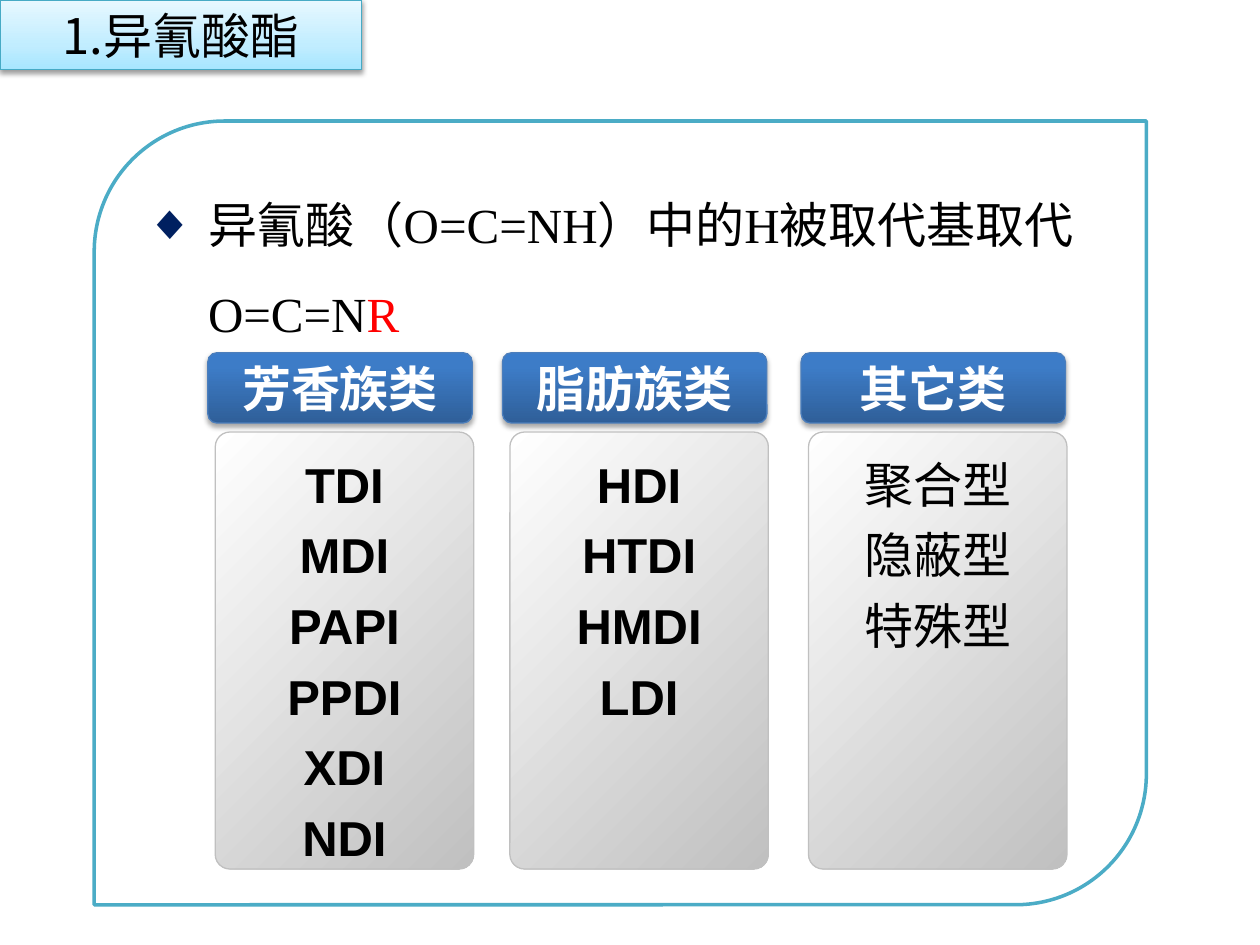
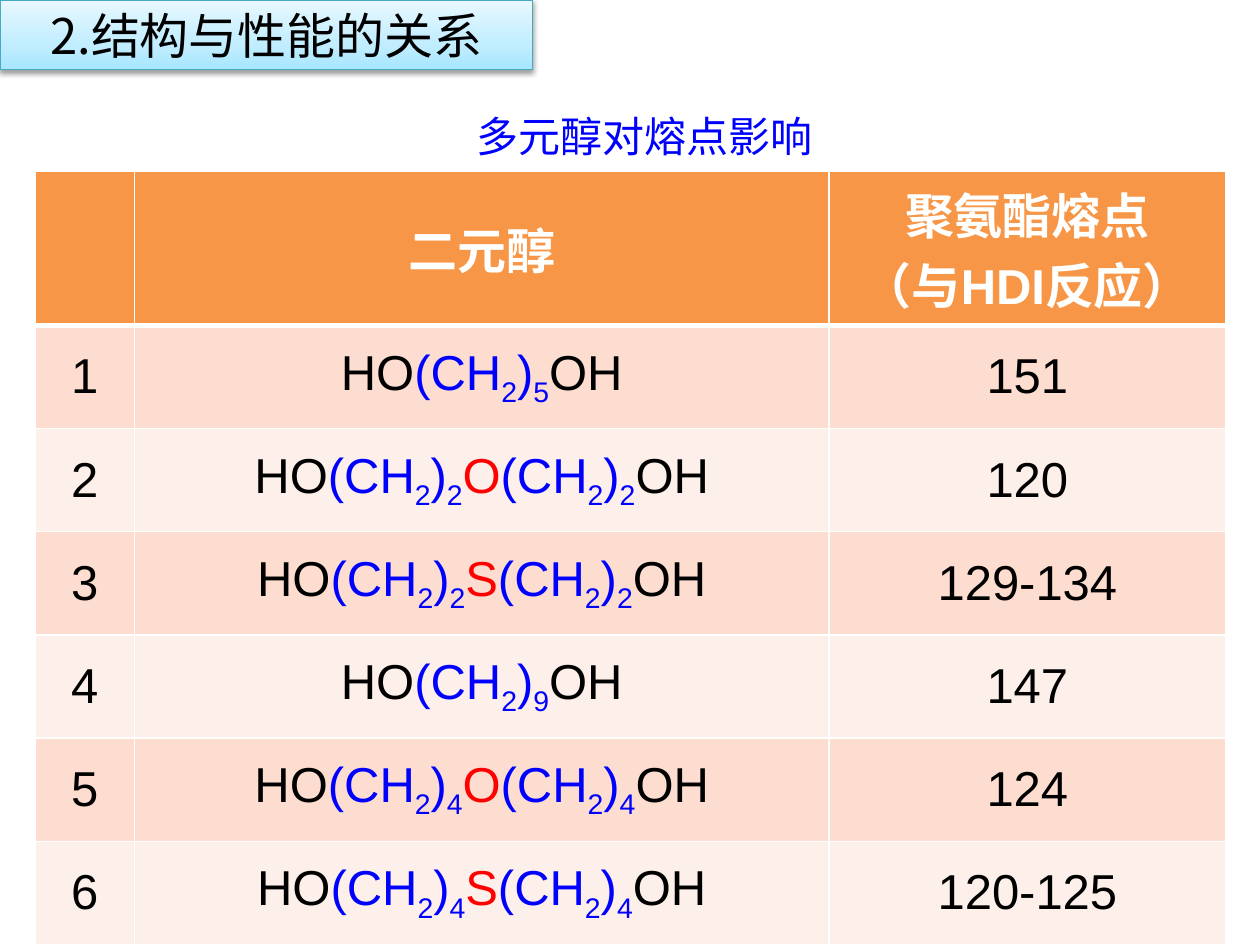
from dataclasses import dataclass

from lxml import etree
from pptx import Presentation
from pptx.dml.color import RGBColor
from pptx.enum.shapes import MSO_SHAPE
from pptx.enum.text import MSO_ANCHOR, MSO_AUTO_SIZE, PP_ALIGN
from pptx.oxml.ns import qn
from pptx.util import Cm, Pt

ROUND_RECT = MSO_SHAPE.ROUNDED_RECTANGLE
CENTER, LEFT = PP_ALIGN.CENTER, PP_ALIGN.LEFT
TOP, MIDDLE = MSO_ANCHOR.TOP, MSO_ANCHOR.MIDDLE
NO_FIT, GROW = MSO_AUTO_SIZE.NONE, MSO_AUTO_SIZE.SHAPE_TO_FIT_TEXT
TITLE_AND_BODY, TITLE_ONLY = 1, 5

CJK, SANS, SERIF = "Noto Sans CJK SC", "Arial", "Times New Roman"
BLACK, WHITE, RED, BLUE = "000000", "FFFFFF", "FF0000", "0000FF"
NAVY, TEAL, GRAY, ORANGE = "002060", "4BACC6", "C0C0C0", "F79646"
ROW_FILLS = ("FCDDCF", "FDEFE9")


@dataclass(frozen=True)
class Run:
    text: str
    color: str = BLACK
    font: str = SANS
    bold: bool = False
    sub: bool = False
    size: int = 28


@dataclass(frozen=True)
class Box:
    left: float
    top: float
    width: float
    height: float

    def lengths(self) -> tuple:
        return Cm(self.left), Cm(self.top), Cm(self.width), Cm(self.height)


@dataclass(frozen=True)
class Finish:
    stops: tuple
    angle: int
    line: str
    shadow: tuple = ()


@dataclass(frozen=True)
class Family:
    name: str
    left: float
    members: tuple
    bold: bool = True


@dataclass(frozen=True)
class Diol:
    carbons: int
    melting: str
    bridge: str = ""


TAB = Finish(((0, "A7E6FF"), (35, "C1EDFF"), (100, "E7F8FF")), 270, "46AAC5", (38, 1.6))
HEADER = Finish(((0, "2F5F99"), (80, "3D7CC7"), (100, "3A7CCB")), 270, "4B7EBC", (35, 1.8))
CARD = Finish(((0, WHITE), (100, GRAY)), 45, GRAY)

FAMILIES = (
    Family("芳香族类", 4.19, ("TDI", "MDI", "PAPI", "PPDI", "XDI", "NDI")),
    Family("脂肪族类", 10.13, ("HDI", "HTDI", "HMDI", "LDI")),
    Family("其它类", 16.15, ("聚合型", "隐蔽型", "特殊型"), bold=False),
)

DIOLS = (
    Diol(5, "151"),
    Diol(2, "120", "O"),
    Diol(2, "129-134", "S"),
    Diol(9, "147"),
    Diol(4, "124", "O"),
    Diol(4, "120-125", "S"),
)


def rgb(color: str) -> RGBColor:
    return RGBColor.from_string(color)


def add(parent, tag: str, **attrs):
    return etree.SubElement(parent, qn(tag), {k: str(v) for k, v in attrs.items()})


def write(tf, lines, align=CENTER, anchor=MIDDLE, spacing=1.0) -> None:
    tf.vertical_anchor = anchor
    for i, runs in enumerate(lines):
        p = tf.paragraphs[0] if i == 0 else tf.add_paragraph()
        p.alignment, p.line_spacing, p.space_before = align, spacing, Pt(0)
        for run in runs:
            r = p.add_run()
            r.text = run.text
            r.font.size, r.font.bold, r.font.name = Pt(run.size), run.bold, run.font
            r.font.color.rgb = rgb(run.color)
            props = r.font._element
            add(props, "a:ea", typeface=CJK)
            if run.sub:
                props.set("baseline", "-25000")


def finish(sp, look: Finish) -> None:
    grad = add(sp._element.spPr, "a:gradFill", rotWithShape=1)
    stops = add(grad, "a:gsLst")
    for pos, color in look.stops:
        add(add(stops, "a:gs", pos=pos * 1000), "a:srgbClr", val=color)
    add(grad, "a:lin", ang=look.angle * 60000, scaled=0)
    sp.line.color.rgb, sp.line.width = rgb(look.line), Pt(0.75)
    sp.shadow.inherit = False
    if look.shadow:
        alpha, dist = look.shadow
        effects = sp._element.spPr.find(qn("a:effectLst"))
        outer = add(effects, "a:outerShdw", blurRad=Pt(3.1), dist=Pt(dist),
                    dir=90 * 60000, rotWithShape=0)
        add(add(outer, "a:srgbClr", val=BLACK), "a:alpha", val=alpha * 1000)


def place_diagonal(sp, box: Box) -> None:
    sp.left, sp.top, sp.width, sp.height = box.lengths()
    geom = add(sp._element.spPr, "a:prstGeom", prst="round2DiagRect")
    add(geom, "a:avLst")
    sp.text_frame.auto_size = NO_FIT


def add_titled_slide(prs, layout: int, title: str, width: float):
    s = prs.slides.add_slide(prs.slide_layouts[layout])
    sp = s.shapes.title
    place_diagonal(sp, Box(0, 0, width, 1.4))
    finish(sp, TAB)
    write(sp.text_frame, [[Run(title, font=CJK)]])
    return s


def add_panel(s, box: Box, radius: float, look: Finish):
    sp = s.shapes.add_shape(ROUND_RECT, *box.lengths())
    sp.adjustments[0] = radius
    finish(sp, look)
    return sp.text_frame


def add_definition(sp) -> None:
    place_diagonal(sp, Box(1.9, 2.44, 21.21, 15.8))
    sp.fill.background()
    sp.line.color.rgb, sp.line.width = rgb(TEAL), Pt(2)
    tf = sp.text_frame
    pPr = tf.paragraphs[0]._p.get_or_add_pPr()
    pPr.set("marL", str(Cm(1.27)))
    pPr.set("indent", str(-Cm(1.27)))
    add(add(pPr, "a:buClr"), "a:srgbClr", val=NAVY)
    add(pPr, "a:buFont", typeface=SANS)
    add(pPr, "a:buChar", char="◆")
    write(tf, [[Run("异氰酸（O=C=NH）中的H被取代基取代O=C=N", font=SERIF),
                Run("R", RED, SERIF)]], LEFT, TOP, 1.5)


def add_family(s, family: Family) -> None:
    tf = add_panel(s, Box(family.left, 7.11, 5.33, 1.42), 0.131, HEADER)
    write(tf, [[Run(family.name, WHITE, CJK, True)]])
    tf = add_panel(s, Box(family.left + 0.15, 8.71, 5.21, 8.81), 0.057, CARD)
    write(tf, [[Run(m, bold=family.bold)] for m in family.members], anchor=TOP, spacing=1.2)


def formula(diol: Diol) -> list:
    chain = [Run("(CH", BLUE), Run("2", BLUE, sub=True), Run(")", BLUE),
             Run(str(diol.carbons), BLUE, sub=True)]
    tail = [Run(diol.bridge, RED), *chain] if diol.bridge else []
    return [Run("HO"), *chain, *tail, Run("OH")]


def fill_cell(cell, lines: list, color: str, top: int, bottom: int) -> None:
    tcPr = cell._tc.get_or_add_tcPr()
    for side, width in (("L", 1), ("R", 1), ("T", top), ("B", bottom)):
        ln = add(tcPr, f"a:ln{side}", w=Pt(width))
        add(add(ln, "a:solidFill"), "a:srgbClr", val=WHITE)
    cell.fill.solid()
    cell.fill.fore_color.rgb = rgb(color)
    cell.vertical_anchor = MIDDLE
    write(cell.text_frame, lines)


def add_melting_table(s) -> None:
    headings = [[], ["二元醇"], ["聚氨酯熔点", "（与HDI反应）"]]
    rows = [[[[Run(t, WHITE, bold=True)] for t in lines] for lines in headings]]
    for n, diol in enumerate(DIOLS, 1):
        rows.append([[[Run(str(n))]], [formula(diol)], [[Run(diol.melting)]]])
    box = Box(0.71, 3.45, 24.0, 15.06)
    table = s.shapes.add_table(len(rows), len(headings), *box.lengths()).table
    for column, width in zip(table.columns, (2.0, 14.0, 8.0)):
        column.width = Cm(width)
    for i, row in enumerate(rows):
        table.rows[i].height = Cm(2.08 if i else 2.57)
        color = ROW_FILLS[(i - 1) % 2] if i else ORANGE
        for j, lines in enumerate(row):
            fill_cell(table.cell(i, j), lines, color, 3 if i == 1 else 1, 1 if i else 3)


def add_caption(s, text: str) -> None:
    tf = s.shapes.add_textbox(*Box(9.35, 2.11, 7.34, 1.27).lengths()).text_frame
    tf.word_wrap = False
    tf.auto_size = GROW
    write(tf, [[Run(text, BLUE, CJK, size=24)]], LEFT, TOP)


def main() -> None:
    prs = Presentation()
    prs.slide_width, prs.slide_height = Cm(25.4), Cm(19.05)

    s = add_titled_slide(prs, TITLE_AND_BODY, "1.异氰酸酯", 7.29)
    add_definition(s.placeholders[1])
    for family in FAMILIES:
        add_family(s, family)

    s = add_titled_slide(prs, TITLE_ONLY, "2.结构与性能的关系", 10.74)
    add_melting_table(s)
    add_caption(s, "多元醇对熔点影响")

    prs.save("out.pptx")


if __name__ == "__main__":
    main()
